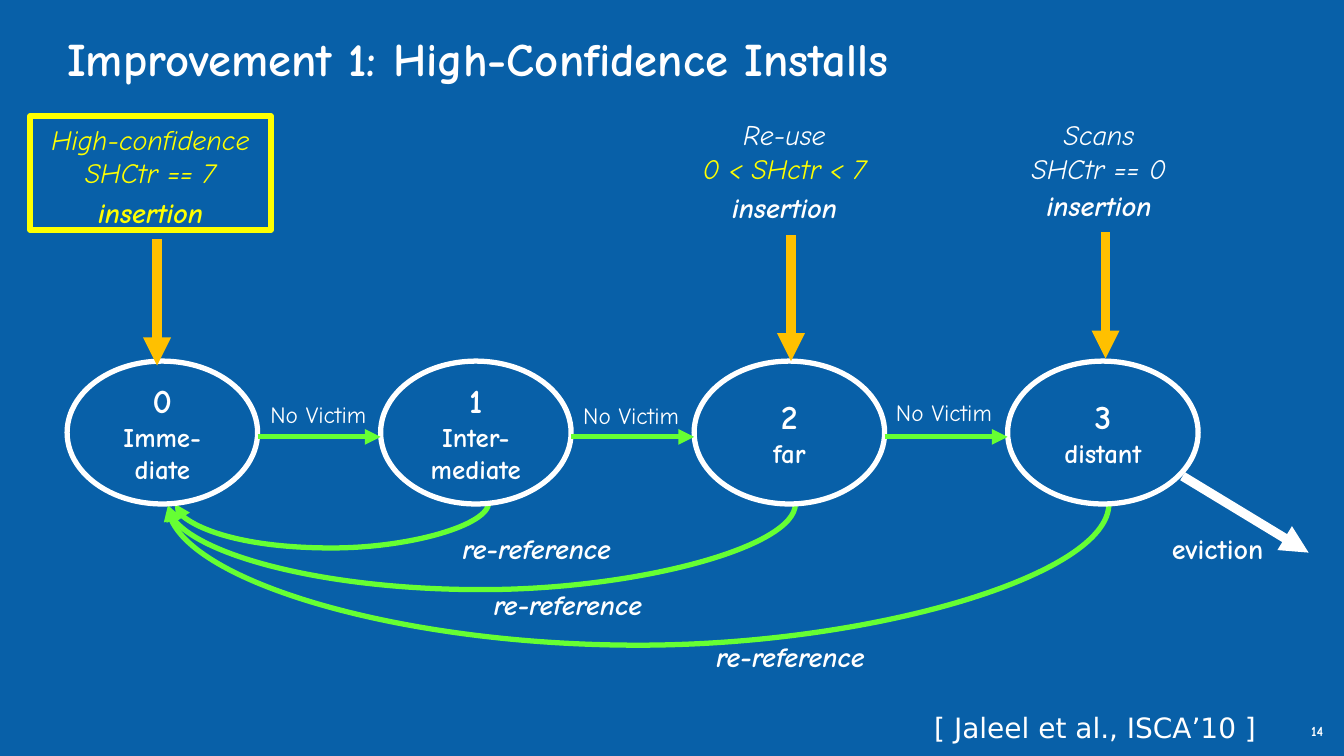
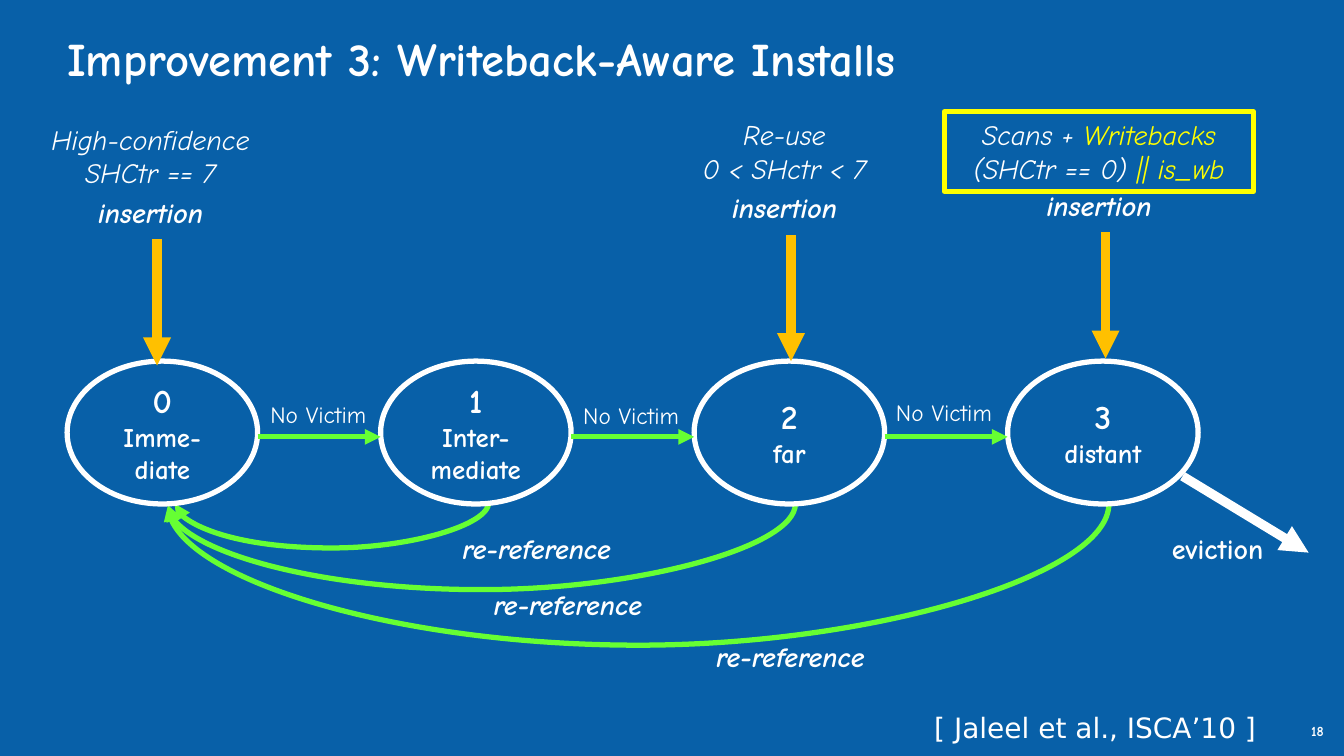
import pptx
import pptx.dml.color
import pptx.enum.shapes
import pptx.enum.text
import pptx.oxml
import pptx.oxml.ns
import pptx.util

Cm = pptx.util.Cm
rgb = pptx.dml.color.RGBColor.from_string
qn = pptx.oxml.ns.qn
CONNECTOR = pptx.enum.shapes.MSO_CONNECTOR
SHAPE = pptx.enum.shapes.MSO_SHAPE
ALIGN = pptx.enum.text.PP_ALIGN
ANCHOR = pptx.enum.text.MSO_ANCHOR

BLUE, WHITE, YELLOW = "0860A8", "FFFFFF", "FFFF00"
GREEN, ORANGE = "66FF33", "FFC000"
OUTLINE, HEAVY = 4.5, 8


def write(shape, lines, size=24, color=WHITE, bold=False, italic=False, font="Comic Neue",
          align=ALIGN.CENTER, anchor=ANCHOR.TOP, wrap=False, inset=(0.36, 0.18), outline=None):
    frame = shape.text_frame
    frame.auto_size = pptx.enum.text.MSO_AUTO_SIZE.NONE
    frame.word_wrap = wrap
    frame.vertical_anchor = anchor
    frame.margin_left = frame.margin_right = Cm(inset[0])
    frame.margin_top = frame.margin_bottom = Cm(inset[1])
    for index, runs in enumerate(lines):
        paragraph = frame.add_paragraph() if index else frame.paragraphs[0]
        paragraph.alignment = align
        for text, change in runs:
            run = paragraph.add_run()
            run.text = text
            run.font.name = font
            run.font.size = pptx.util.Pt(change.get("size", size))
            run.font.bold = bold
            run.font.italic = italic
            run.font.color.rgb = rgb(change.get("color", color))
    if outline:
        shape.shadow.inherit = False
        shape.fill.background()
        shape.line.color.rgb = rgb(outline)
        shape.line.width = pptx.util.Pt(OUTLINE)


def draw_arrow(slide, ends, color, width, kind=CONNECTOR.STRAIGHT):
    arrow = slide.shapes.add_connector(kind, *map(Cm, ends))
    arrow.line.color.rgb = rgb(color)
    arrow.line.width = pptx.util.Pt(width)
    properties = arrow.element.spPr
    head = pptx.oxml.parse_xml(
        '<a:tailEnd xmlns:a="http://schemas.openxmlformats.org/drawingml/2006/main" type="triangle"/>')
    properties.find(qn("a:ln")).append(head)
    properties.append(properties.makeelement(qn("a:effectLst"), {}))
    return arrow


STATE_LEFT, STATE_TOP, STATE_WIDTH, STATE_HEIGHT, STATE_PITCH = 2.03, 10.92, 5.76, 4.32, 9.48
states = [["0", "Imme-", "diate"], ["1", "Inter-", "mediate"], ["2", "far"], ["3", "distant"]]
victim_tops = [11.91, 11.96, 11.86]
re_references = [
    (14.78, 15.19, 5.28, 1.38, 13.13, 15.88),
    (24.05, 15.24, 5.08, 2.59, 14.07, 17.58),
    (33.53, 15.24, 5.08, 4.27, 20.8, 19.15),
]
CURVE_RISE = 0.04
insertions = [(4.55, 3.51, 5.72), (23.72, 3.38, 5.59), (33.23, 3.38, 5.51)]

plain, highlight = {}, {"color": YELLOW}
improvements = [
    {
        "title": "Improvement 1: High-Confidence Installs",
        "number": "14",
        "conditions": [
            [[("High-confidence", highlight)], [("SHCtr == 7", highlight)]],
            [[("Re-use", plain)], [("0 < SHctr < 7", highlight)]],
            [[("Scans", plain)], [("SHCtr == 0", plain)]],
        ],
        "framed": 0,
        "frame_size": (7.29, 3.45),
        "insertion_colors": [YELLOW, WHITE, WHITE],
    },
    {
        "title": "Improvement 3: Writeback-Aware Installs",
        "number": "18",
        "conditions": [
            [[("High-confidence", plain)], [("SHCtr == 7", plain)]],
            [[("Re-use", plain)], [("0 < SHctr < 7", plain)]],
            [[("Scans + ", plain), ("Writebacks", highlight)],
             [("(SHCtr == 0) ", plain), ("|| is_wb", highlight)]],
        ],
        "framed": 2,
        "frame_size": (9.35, 2.41),
        "insertion_colors": [WHITE, WHITE, WHITE],
    },
]

deck = pptx.Presentation()
deck.slide_width, deck.slide_height = Cm(40.64), Cm(22.86)
background = deck.slide_master.background.fill
background.solid()
background.fore_color.rgb = rgb(BLUE)
layout = deck.slide_layouts[5]
heading = layout.placeholders[0]
heading.left, heading.top, heading.width, heading.height = map(Cm, (2.03, 0.91, 36.6, 2.97))

for improvement in improvements:
    slide = deck.slides.add_slide(layout)
    shapes = slide.shapes
    write(shapes.title, [[(improvement["title"], plain)]], size=40, bold=True,
          align=ALIGN.LEFT, wrap=True, inset=(0, 0))

    for start, top, end, drop, label_left, label_top in re_references:
        middle_x, middle_y = (start + end) / 2, top + CURVE_RISE / 2
        span = start - end
        ends = (middle_x - CURVE_RISE / 2, middle_y - span / 2,
                middle_x + CURVE_RISE / 2, middle_y + span / 2)
        curve = draw_arrow(slide, ends, GREEN, OUTLINE, CONNECTOR.CURVE)
        properties = curve.element.spPr
        properties.find(qn("a:xfrm")).set("rot", "5400000")
        bends = properties.find(qn("a:prstGeom")).find(qn("a:avLst"))
        bend = {"name": "adj1", "fmla": f"val {round(drop / CURVE_RISE * 100000)}"}
        bends.append(bends.makeelement(qn("a:gd"), bend))
        label = shapes.add_textbox(*map(Cm, (label_left, label_top, 6.2, 1.4)))
        write(label, [[("re-reference", plain)]], bold=True, italic=True)

    for index, (value, *names) in enumerate(states):
        left = STATE_LEFT + index * STATE_PITCH
        state = shapes.add_shape(SHAPE.OVAL, *map(Cm, (left, STATE_TOP, STATE_WIDTH, STATE_HEIGHT)))
        write(state, [[(value, {"size": 29})]] + [[(name, plain)] for name in names],
              size=23, bold=True, anchor=ANCHOR.MIDDLE, wrap=True, outline=WHITE)

    for index, top in enumerate(victim_tops):
        left = STATE_LEFT + index * STATE_PITCH
        draw_arrow(slide, (left + STATE_WIDTH, 13.21, left + STATE_PITCH, 13.21), GREEN, OUTLINE)
        no_victim = shapes.add_textbox(*map(Cm, (7.62 + index * 9.46, top, 4.01, 1.22)))
        write(no_victim, [[("No Victim", plain)]], size=20)

    draw_arrow(slide, (35.76, 14.4, 39.57, 16.71), WHITE, HEAVY)
    eviction = shapes.add_textbox(*map(Cm, (34.9, 15.88, 3.84, 1.4)))
    write(eviction, [[("eviction", plain)]], bold=True)

    for index, (center, condition_top, insertion_top) in enumerate(insertions):
        insertion = shapes.add_textbox(*map(Cm, (center - 2.13, insertion_top, 4.27, 1.4)))
        write(insertion, [[("insertion", plain)]], bold=True, italic=True,
              color=improvement["insertion_colors"][index])
        arrow_x, arrow_top = center + 0.2, insertion_top + 1.52
        draw_arrow(slide, (arrow_x, arrow_top, arrow_x, arrow_top + 3.81), ORANGE, HEAVY)

        framed = index == improvement["framed"]
        width, height = improvement["frame_size"] if framed else (6, 2.41)
        place = list(map(Cm, (center - width / 2, condition_top, width, height)))
        condition = shapes.add_shape(SHAPE.RECTANGLE, *place) if framed else shapes.add_textbox(*place)
        write(condition, improvement["conditions"][index], italic=True,
              outline=YELLOW if framed else None)

    citation = shapes.add_textbox(*map(Cm, (28, 21.36, 10.74, 1.27)))
    write(citation, [[("[ Jaleel et al., ISCA’10 ]", plain)]], font="DejaVu Sans",
          align=ALIGN.LEFT, inset=(0.25, 0.13))
    page = shapes.add_textbox(*map(Cm, (39.65, 21.84, 0.99, 1.02)))
    write(page, [[(improvement["number"], plain)]], size=12, bold=True,
          align=ALIGN.LEFT, wrap=True, inset=(0, 0))

deck.save("out.pptx")
